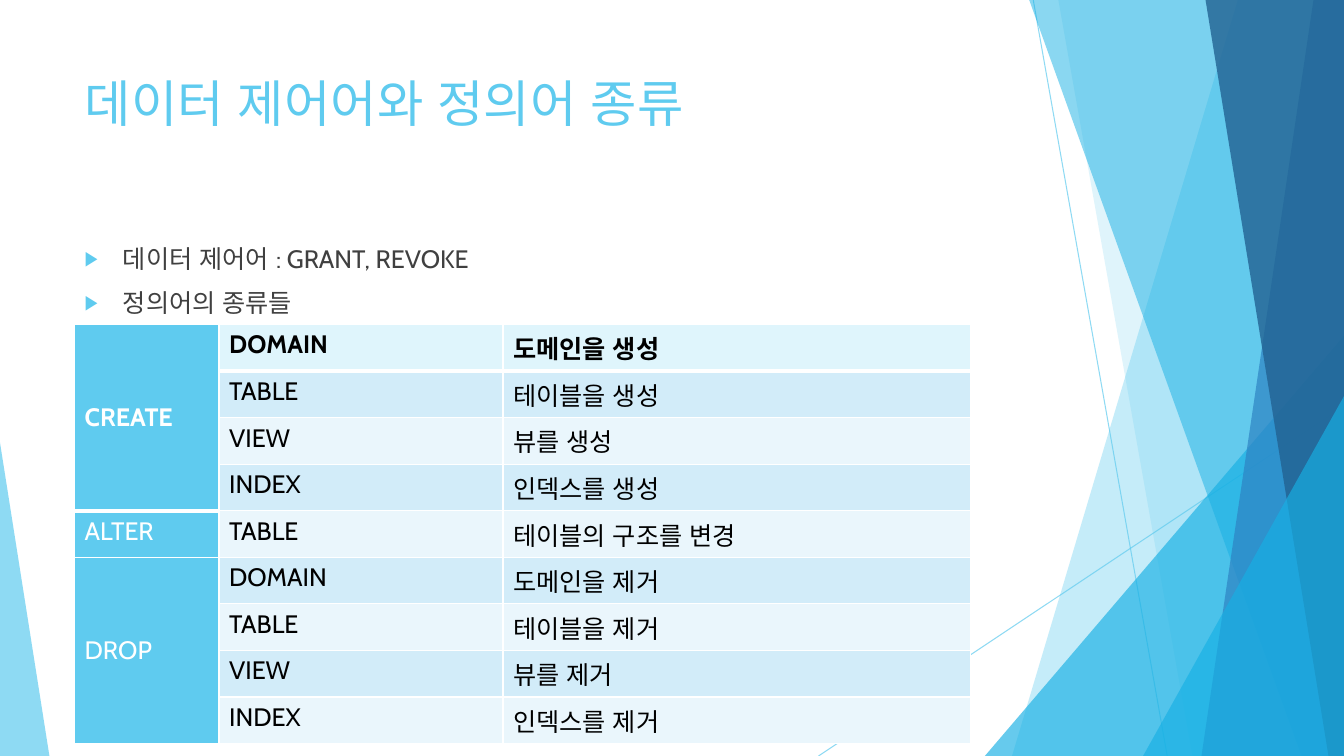
from lxml import etree
from pptx import Presentation
from pptx.dml.color import RGBColor
from pptx.enum.lang import MSO_LANGUAGE_ID
from pptx.enum.shapes import MSO_CONNECTOR, MSO_SHAPE
from pptx.enum.text import MSO_ANCHOR, MSO_AUTO_SIZE, PP_ALIGN
from pptx.oxml.ns import qn
from pptx.util import Inches, Pt

LINE = MSO_CONNECTOR.STRAIGHT
WEDGE = MSO_SHAPE.ISOSCELES_TRIANGLE
TOP, MIDDLE = MSO_ANCHOR.TOP, MSO_ANCHOR.MIDDLE
LEFT = PP_ALIGN.LEFT
FIXED = MSO_AUTO_SIZE.NONE
KOREAN = MSO_LANGUAGE_ID.KOREAN

WIDE, HIGH = Inches(13.333), Inches(7.5)
FONT = "Cabin"

SKY = RGBColor(0x5F, 0xCB, 0xEF)
CYAN = RGBColor(0x17, 0xB0, 0xE4)
BLUE = RGBColor(0x2E, 0x83, 0xC3)
NAVY = RGBColor(0x22, 0x62, 0x92)
GREY = RGBColor(0x40, 0x40, 0x40)
BLACK = RGBColor(0, 0, 0)
WHITE = RGBColor(0xFF, 0xFF, 0xFF)
HEAD = RGBColor(0xDF, 0xF5, 0xFC)
BANDS = (RGBColor(0xEA, 0xF6, 0xFC), RGBColor(0xD2, 0xEC, 0xF9))

# Places are percentages of the slide's width and height
MARGIN = 5.55
BODY = 70.5
COLS = (10.75, 21.13, 34.8)
ROW = 6.16

# Bands run from the top edge to the foot: top x, foot x, colour, opacity
STRIPS = (
    (92.1, 75.3, SKY, 36),
    (78.75, 88.73, SKY, 20),
    (76.58, 96.83, CYAN, 50),
    (97.73, 89.4, BLUE, 70),
    (89.7, 98.85, NAVY, 80),
)

BULLETS = ("데이터 제어어 : GRANT, REVOKE", "정의어의 종류들")

GROUPS = (
    ("CREATE", (("DOMAIN", "도메인을 생성"), ("TABLE", "테이블을 생성"),
                ("VIEW", "뷰를 생성"), ("INDEX", "인덱스를 생성"))),
    ("ALTER", (("TABLE", "테이블의 구조를 변경"),)),
    ("DROP", (("DOMAIN", "도메인을 제거"), ("TABLE", "테이블을 제거"),
              ("VIEW", "뷰를 제거"), ("INDEX", "인덱스를 제거"))),
)


def across(part):
    return round(WIDE * part / 100)


def down(part):
    return round(HIGH * part / 100)


def place(x, y, w, h):
    return across(x), down(y), across(w), down(h)


def node(parent, tag, **attrs):
    return etree.SubElement(parent, qn(tag), attrs)


def fade(fill, share):
    for tint in fill._xPr.iter(qn("a:srgbClr")):
        node(tint, "a:alpha", val=str(share * 1000))


def write(para, text, size=18, color=BLACK, bold=False):
    para.alignment = LEFT
    run = para.add_run()
    run.text = text
    font = run.font
    font.name, font.size, font.bold = FONT, Pt(size), bold
    font.language_id = KOREAN
    font.color.rgb = color


def paint(shape, color, share):
    shape.shadow.inherit = False
    shape.fill.solid()
    shape.fill.fore_color.rgb = color
    fade(shape.fill, share)
    shape.line.fill.background()


def ray(shapes, x1, y1, x2, y2):
    line = shapes.add_connector(LINE, across(x1), down(y1), across(x2), down(y2))
    line.line.color.rgb = SKY
    line.line.width = Pt(0.75)
    fade(line.line.fill, 70)
    node(line._element.spPr, "a:effectLst")


def strip(shapes, top, foot, color, share):
    pen = shapes.build_freeform(across(top), 0)
    pen.add_line_segments([(WIDE, 0), (WIDE, HIGH), (across(foot), HIGH)])
    paint(pen.convert_to_shape(), color, share)


def wedge(shapes, x, y, w, tip, color, share):
    shape = shapes.add_shape(WEDGE, *place(x, y, w, 100 - y))
    shape.adjustments[0] = tip
    paint(shape, color, share)


def decor(shapes):
    ray(shapes, 76.88, 0, 86.85, 100)
    ray(shapes, 100, 53.73, 60.9, 100)
    for item in STRIPS[:2]:
        strip(shapes, *item)
    wedge(shapes, 73.28, 44.4, 26.72, 1, CYAN, 66)
    for item in STRIPS[2:]:
        strip(shapes, *item)
    wedge(shapes, 85.05, 52.4, 14.95, 1, CYAN, 66)
    wedge(shapes, 0, 58.53, 3.68, 0, SKY, 70)


def heading(title, text):
    title.left, title.top, title.width, title.height = place(MARGIN, 8.93, BODY, 19.2)
    frame = title.text_frame
    frame.auto_size, frame.vertical_anchor = FIXED, TOP
    write(frame.paragraphs[0], text, size=36, color=SKY)


def bullets(shapes, items):
    frame = shapes.add_textbox(*place(MARGIN, 31.47, BODY, 56.53)).text_frame
    frame.word_wrap = True
    for i, text in enumerate(items):
        para = frame.add_paragraph() if i else frame.paragraphs[0]
        write(para, text, color=GREY)
        para.space_before = Pt(10)
        props = para._p.get_or_add_pPr()
        props.set("marL", str(Inches(0.38)))
        props.set("indent", str(Inches(-0.38)))
        node(node(props, "a:buClr"), "a:srgbClr", val=str(SKY))
        node(props, "a:buSzPct", val="80000")
        node(props, "a:buFont", typeface=FONT)
        node(props, "a:buChar", char="▶")


def edges(cell, top, bottom):
    props = cell._tc.get_or_add_tcPr()
    sides = (("a:lnL", 1), ("a:lnR", 1), ("a:lnT", top), ("a:lnB", bottom))
    for i, (tag, width) in enumerate(sides):
        side = node(props, tag, w=str(Pt(width)))
        node(node(side, "a:solidFill"), "a:srgbClr", val=str(WHITE))
        props.insert(i, side)


def rule(row, col):
    """Weight of the line under a cell: heavy below the first record."""
    return 3 if row == 0 or (row, col) == (3, 0) else 1


def grid(shapes, groups):
    count = sum(len(rows) for _, rows in groups)
    frame = shapes.add_table(count, len(COLS),
                             *place(MARGIN, 42.93, sum(COLS), ROW * count))
    table = frame.table
    table.first_row = table.horz_banding = False
    for col, width in zip(table.columns, COLS):
        col.width = across(width)

    # Fills and borders
    for r in range(count):
        table.rows[r].height = down(ROW)
        band = BANDS[r % 2] if r else HEAD
        for c in range(len(COLS)):
            cell = table.cell(r, c)
            cell.fill.solid()
            cell.fill.fore_color.rgb = band if c else SKY
            edges(cell, rule(r - 1, c), rule(r, c))

    # Words
    r = 0
    for name, rows in groups:
        lead = table.cell(r, 0)
        if len(rows) > 1:
            lead.merge(table.cell(r + len(rows) - 1, 0))
            lead.vertical_anchor = MIDDLE
        write(lead.text_frame.paragraphs[0], name, color=WHITE, bold=r == 0)
        for row in rows:
            for c, text in enumerate(row, 1):
                para = table.cell(r, c).text_frame.paragraphs[0]
                write(para, text, bold=r == 0)
            r += 1


def main():
    deck = Presentation()
    deck.slide_width, deck.slide_height = WIDE, HIGH
    slide = deck.slides.add_slide(deck.slide_layouts[5])
    shapes = slide.shapes
    decor(shapes)
    heading(shapes.title, "데이터 제어어와 정의어 종류")
    bullets(shapes, BULLETS)
    grid(shapes, GROUPS)
    deck.save("out.pptx")


if __name__ == "__main__":
    main()
